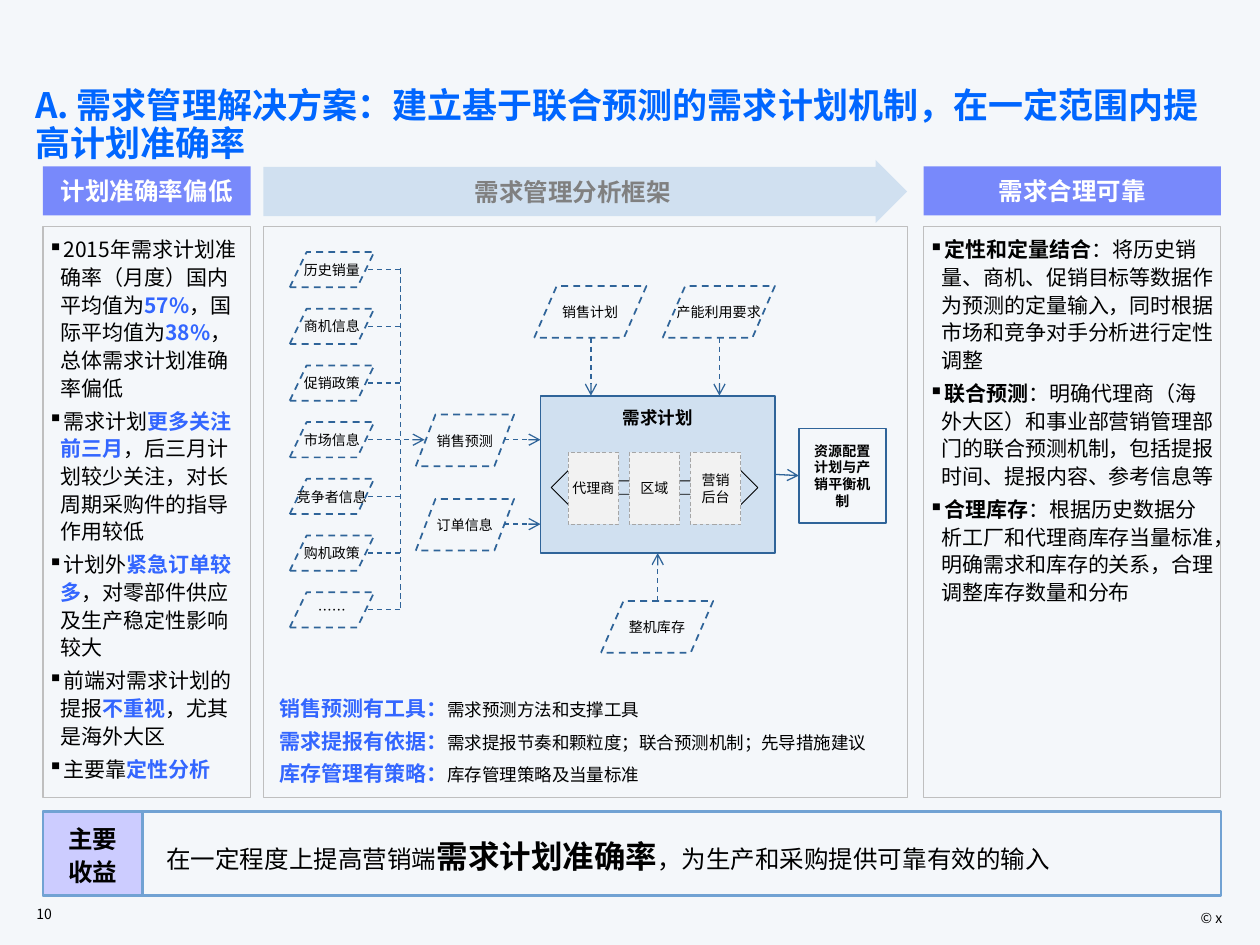
from lxml.etree import SubElement
from pptx import Presentation
from pptx.dml.color import RGBColor
from pptx.enum.dml import MSO_LINE as Dash
from pptx.enum.shapes import MSO_CONNECTOR as Link, MSO_SHAPE as Form
from pptx.enum.text import MSO_ANCHOR as Anchor, PP_ALIGN as Align
from pptx.oxml.ns import qn
from pptx.util import Inches, Pt

COLS, ROWS = 100, 75
BLUE, NAVY, PALE, GREY = "3366FF", "2F6499", "D0E0F0", "BFBFBF"
STRONG = {"bold": True}
KEY = {"bold": True, "color": BLUE}


def tint(code):
    return RGBColor.from_string(code)


class Deck:
    face = "Noto Sans CJK SC"

    def __init__(self):
        self.prs = Presentation()
        self.prs.slide_width, self.prs.slide_height = Inches(10), Inches(7.5)
        self.slide = self.prs.slides.add_slide(self.prs.slide_layouts[6])
        fill = self.slide.background.fill
        fill.solid()
        fill.fore_color.rgb = tint("F4F7FA")

    def x(self, n):
        return round(self.prs.slide_width * n / COLS)

    def y(self, n):
        return round(self.prs.slide_height * n / ROWS)

    def place(self, box):
        left, top, wide, high = box
        return self.x(left), self.y(top), self.x(wide), self.y(high)

    def stroke(self, line, color, width, dash):
        line.color.rgb = tint(color)
        line.width = Pt(width)
        if dash:
            line.dash_style = Dash.DASH

    def letter(self, shape, text, size=8, color="000000", bold=False, mark=KEY,
               align=Align.CENTER, anchor=Anchor.MIDDLE, pad=(1, .5, 1, .5),
               wrap=True, lead=None, gap=0, dot=False):
        frame = shape.text_frame
        left, top, right, low = pad
        looks = {"word_wrap": wrap, "vertical_anchor": anchor,
                 "margin_left": self.x(left), "margin_top": self.y(top),
                 "margin_right": self.x(right), "margin_bottom": self.y(low)}
        for name, value in looks.items():
            setattr(frame, name, value)
        for n, row in enumerate(text.split("\n")):
            para = frame.add_paragraph() if n else frame.paragraphs[0]
            if dot:
                props = para._p.get_or_add_pPr()
                props.set("marL", str(Inches(.1)))
                props.set("indent", str(-Inches(.1)))
                SubElement(props, qn("a:buChar")).set("char", "▪")
            looks = {"alignment": align, "line_spacing": lead,
                     "space_before": Pt(gap if n else 0)}
            for name, value in looks.items():
                setattr(para, name, value)
            for i, part in enumerate(row.split("*")):
                look = {"size": size, "color": color, "bold": bold}
                look.update(mark if i % 2 else {})
                for j, bit in enumerate(part.split("|")):
                    if j:
                        para.add_line_break()
                    if bit:
                        self.phrase(para, bit, **look)

    def phrase(self, para, text, size, color, bold):
        run = para.add_run()
        run.text = text
        looks = {"size": Pt(size), "bold": bold, "name": self.face}
        for name, value in looks.items():
            setattr(run.font, name, value)
        run.font.color.rgb = tint(color)
        SubElement(run._r.get_or_add_rPr(), qn("a:ea")).set("typeface", self.face)

    def label(self, box, text, **look):
        self.letter(self.slide.shapes.add_textbox(*self.place(box)), text, **look)

    def block(self, box, text="", form=Form.RECTANGLE, fill=None, line=None,
              width=1, dash=False, turn=0, adjust=(), **look):
        shape = self.slide.shapes.add_shape(form, *self.place(box))
        shape.shadow.inherit = False
        shape.rotation = turn
        for n, value in enumerate(adjust):
            shape.adjustments[n] = value
        if fill:
            shape.fill.solid()
            shape.fill.fore_color.rgb = tint(fill)
        else:
            shape.fill.background()
        if line:
            self.stroke(shape.line, line, width, dash)
        else:
            shape.line.fill.background()
        if text:
            self.letter(shape, text, **look)
        return shape

    def slant(self, box, text):
        self.block(box, text, Form.FLOWCHART_DATA, line=NAVY, dash=True, wrap=False)

    def link(self, x1, y1, x2, y2, head=True, dash=True, start=None, end=None):
        wire = self.slide.shapes.add_connector(
            Link.STRAIGHT, self.x(x1), self.y(y1), self.x(x2), self.y(y2))
        self.stroke(wire.line, NAVY, .75, dash)
        if head:
            SubElement(wire.line._get_or_add_ln(), qn("a:tailEnd")).set("type", "arrow")
        SubElement(wire._element.spPr, qn("a:effectLst"))
        if start:
            wire.begin_connect(*start)
        if end:
            wire.end_connect(*end)


def main():
    deck = Deck()
    plain = {"align": Align.LEFT, "anchor": Anchor.TOP}
    deck.label((83, 71.7, 15, 2), "© x", align=Align.RIGHT, anchor=Anchor.TOP)
    deck.label((1.9, 71.3, 7, 2.4), "10", align=Align.LEFT)
    deck.label((1.8, 6.5, 96.5, 7.6),
               "A. 需求管理解决方案：建立基于联合预测的需求计划机制，在一定范围内提高计划准确率",
               size=20, color="0066FF", bold=True, lead=.9, **plain)

    sides = [(3.4, 16.5), (20.9, 51.1), (73.3, 23.6)]
    heads = {"计划准确率偏低": sides[0], "需求合理可靠": sides[2]}
    for text, (left, wide) in heads.items():
        deck.block((left, 13.2, wide, 3.9), text, fill="7889FB",
                   size=14, color="FFFFFF", bold=True)
    deck.block((20.9, 12.7, 51.1, 5), "需求管理分析框架", Form.RIGHT_ARROW,
               fill=PALE, adjust=(.78, .5), size=14, color="808080", bold=True,
               lead=.9, wrap=False, pad=(1, .8, 1, .4))

    issues = """2015年需求计划准确率（月度）国内平均值为*57%*，国际平均值为*38%*，总体需求计划准确率偏低
需求计划*更多关注前三月*，后三月计划较少关注，对长周期采购件的指导作用较低
计划外*紧急订单较多*，对零部件供应及生产稳定性影响较大
前端对需求计划的提报*不重视*，尤其是海外大区
主要靠*定性分析*"""
    gains = """*定性和定量结合*：将历史销量、商机、促销目标等数据作为预测的定量输入，同时根据市场和竞争对手分析进行定性调整
*联合预测*：明确代理商（海外大区）和事业部营销管理部门的联合预测机制，包括提报时间、提报内容、参考信息等
*合理库存*：根据历史数据分析工厂和代理商库存当量标准，明确需求和库存的关系，合理调整库存数量和分布"""
    for (left, wide), text, mark in zip(sides, (issues, "", gains), (KEY, KEY, STRONG)):
        deck.block((left, 18, wide, 45.3), text, line=GREY, width=.75, size=12,
                   mark=mark, pad=(.4, .6, .4, .6), lead=1.1, gap=3, dot=True, **plain)

    deck.block((3.4, 64.4, 93.5, 6.7),
               "在一定程度上提高营销端*需求计划准确率*，为生产和采购提供可靠有效的输入",
               line="71A2D3", width=1.5, size=14, mark={"bold": True, "size": 18},
               align=Align.LEFT, pad=(9.8, .5, 1, .5), lead=1.1)
    deck.block((3.4, 64.4, 7.9, 6.7), "主要|收益", fill="CCCCFF", line="71A2D3",
               width=1.5, size=14, bold=True, lead=1.1)

    plan = deck.block((42.9, 31.4, 18.6, 12.5), "需求计划", fill=PALE, line=NAVY,
                      size=10, bold=True, anchor=Anchor.TOP, pad=(1, .9, 1, .5))
    supply = deck.block((63.4, 34, 6.9, 7.5), "资源配置\n计划与产销平衡机制",
                        line=NAVY, bold=True)
    deck.link(61.5, 37.7, 63.4, 37.7, dash=False, start=(plan, 3), end=(supply, 1))

    facts = ["历史销量", "商机信息", "促销政策", "市场信息", "竞争者信息", "购机政策", "……"]
    for n, text in enumerate(facts):
        top = 20 + 4.5 * n
        main_row = text == "市场信息"
        deck.slant((23, top, 6.7, 2.8), text)
        deck.link(29.2, top + 1.4, 33.7 if main_row else 31.8, top + 1.4, head=main_row)
    deck.link(31.8, 21.3, 31.8, 48.5, head=False)

    for top, text in ((32.9, "销售预测"), (39.6, "订单信息")):
        deck.slant((33, top, 7.8, 4.1), text)
        deck.link(40, top + 2, 42.9, top + 2)
    for left, text in ((42.4, "销售计划"), (52.6, "产能利用要求")):
        deck.slant((left, 22.7, 8.9, 4.1), text)
        deck.link(left + 4.5, 26.8, left + 4.5, 31.4)
    deck.slant((47.7, 47.7, 8.9, 4.1), "整机库存")
    deck.link(52.2, 47.7, 52.2, 43.9, end=(plan, 2))

    deck.block((50.4, 30.5, 3.1, 16.4), form=Form.UP_DOWN_ARROW, line="000000",
               width=.5, turn=90, adjust=(.5, .34))
    for n, text in enumerate(("代理商", "区域", "营销\n后台")):
        deck.block((45.1 + 4.85 * n, 35.9, 4, 5.7), text, fill="F2F2F2",
                   line="A6A6A6", width=.5, dash=True, pad=(0, .5, 0, .5))

    deck.label((21.2, 54.7, 50.4, 8.2), """*销售预测有工具：*需求预测方法和支撑工具
*需求提报有依据：*需求提报节奏和颗粒度；联合预测机制；先导措施建议
*库存管理有策略：*库存管理策略及当量标准""",
               size=10, mark={**KEY, "size": 12}, gap=4.3, **plain)
    deck.prs.save("out.pptx")


if __name__ == "__main__":
    main()
